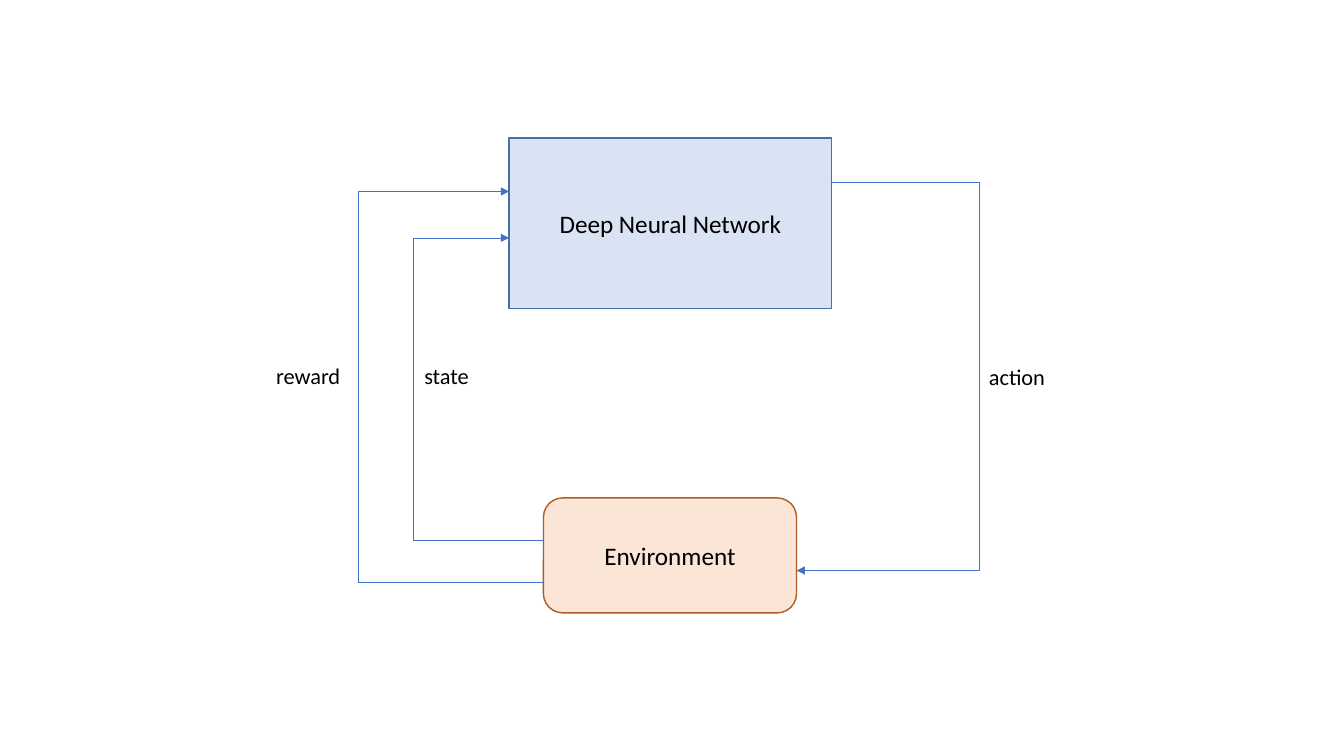
from itertools import pairwise

from lxml.etree import SubElement
from pptx import Presentation
from pptx.dml.color import RGBColor
from pptx.enum.shapes import MSO_CONNECTOR as Connector, MSO_SHAPE as Shape
from pptx.enum.text import MSO_ANCHOR as Anchor, MSO_AUTO_SIZE as AutoSize, PP_ALIGN as Align
from pptx.oxml.ns import qn
from pptx.util import Emu, Pt

PX = 9144
SLIDE_SIZE = (1333, 750)

THEME = {
    "font": "Calibri",
    "text": "000000",
    "flow": "4472C4",
    "box_size": 18,
    "label_size": 16,
    "box_line": 1,
    "flow_line": 0.5,
}

BOXES = {
    "Deep Neural Network": {
        "at": (505, 137, 320, 169), "preset": Shape.RECTANGLE,
        "fill": "DAE3F3", "line": "43739E"},
    "Environment": {
        "at": (539, 494, 251, 114), "preset": Shape.ROUNDED_RECTANGLE,
        "fill": "FBE5D6", "line": "AF5C24"},
}

FLOWS = [
    {"name": "action", "source": "Deep Neural Network", "target": "Environment",
     "side": "right", "leave": 181, "lane": 971, "arrive": 566,
     "label": (971, 355, 77, 37)},
    {"name": "state", "source": "Environment", "target": "Deep Neural Network",
     "side": "left", "leave": 536, "lane": 410, "arrive": 236,
     "label": (411, 354, 65, 37)},
    {"name": "reward", "source": "Environment", "target": "Deep Neural Network",
     "side": "left", "leave": 578, "lane": 355, "arrive": 190,
     "label": (264, 354, 85, 37)},
]


def px(*lengths):
    return [Emu(length * PX) for length in lengths]


def apply(target, formats):
    for name, value in formats.items():
        setattr(target, name, value)


def write(frame, words, size, align, frame_formats):
    apply(frame, frame_formats)
    paragraph = frame.paragraphs[0]
    paragraph.alignment = align
    run = paragraph.add_run()
    run.text = words
    apply(run.font, {"name": THEME["font"], "size": Pt(size)})
    run.font.color.rgb = RGBColor.from_string(THEME["text"])


def draw_line(line, color, width):
    line.color.rgb = RGBColor.from_string(color)
    line.width = Pt(width)


def add_box(shapes, title, box):
    body = shapes.add_shape(box["preset"], *px(*box["at"]))
    body.shadow.inherit = False
    body.fill.solid()
    body.fill.fore_color.rgb = RGBColor.from_string(box["fill"])
    draw_line(body.line, box["line"], THEME["box_line"])
    write(body.text_frame, title, THEME["box_size"], Align.CENTER,
          {"word_wrap": True, "vertical_anchor": Anchor.MIDDLE})


def edge(title, side):
    left, _, width, _ = BOXES[title]["at"]
    return left + width if side == "right" else left


def add_flow(shapes, flow):
    route = [
        (edge(flow["source"], flow["side"]), flow["leave"]),
        (flow["lane"], flow["leave"]),
        (flow["lane"], flow["arrive"]),
        (edge(flow["target"], flow["side"]), flow["arrive"]),
    ]
    for start, end in pairwise(route):
        leg = shapes.add_connector(Connector.STRAIGHT, *px(*start, *end))
        draw_line(leg.line, THEME["flow"], THEME["flow_line"])
        properties = leg._element.spPr
        SubElement(properties, qn("a:effectLst"))
        if end == route[-1]:
            SubElement(properties.find(qn("a:ln")), qn("a:tailEnd"), type="triangle")


def add_label(shapes, flow):
    label = shapes.add_textbox(*px(*flow["label"]))
    write(label.text_frame, flow["name"], THEME["label_size"], Align.LEFT,
          {"word_wrap": False, "auto_size": AutoSize.SHAPE_TO_FIT_TEXT})


def main():
    deck = Presentation()
    deck.slide_width, deck.slide_height = px(*SLIDE_SIZE)
    shapes = deck.slides.add_slide(deck.slide_layouts[6]).shapes
    for title, box in BOXES.items():
        add_box(shapes, title, box)
    for flow in FLOWS:
        add_flow(shapes, flow)
    for flow in FLOWS:
        add_label(shapes, flow)
    deck.save("out.pptx")


if __name__ == "__main__":
    main()
